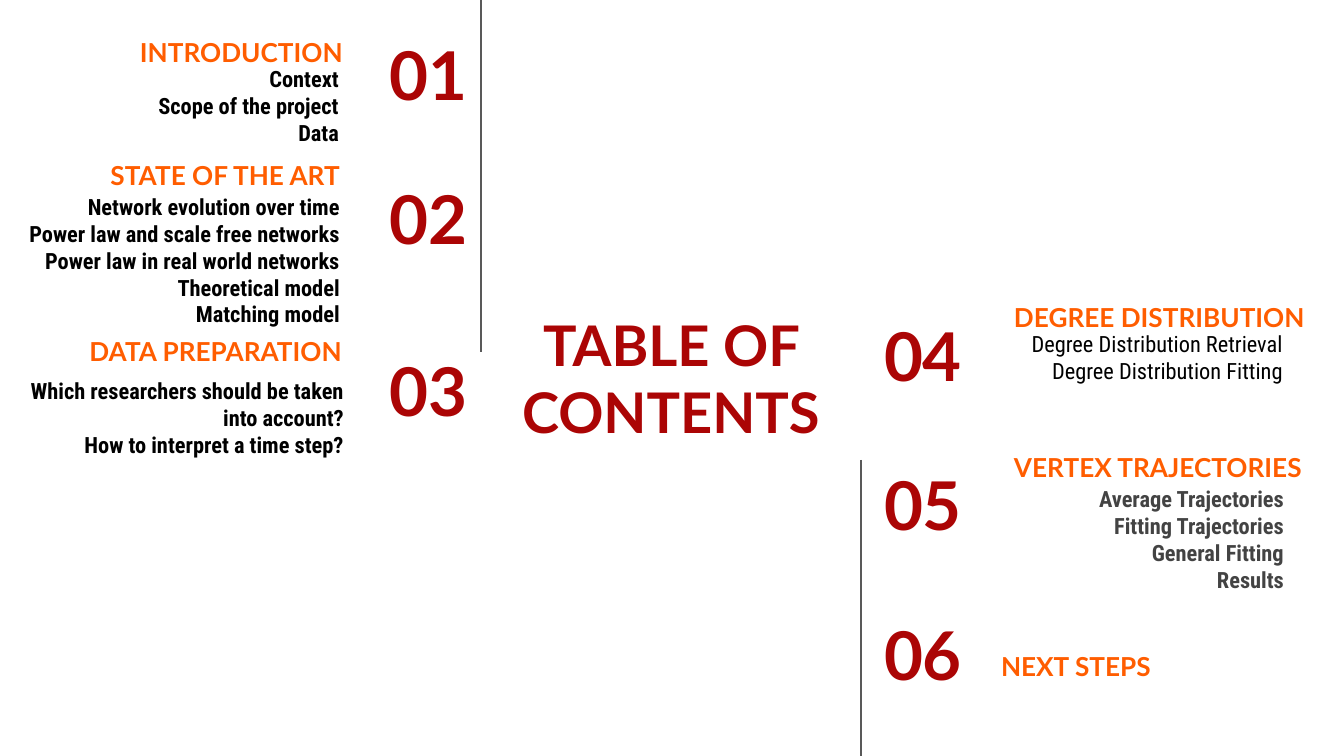
from pptx import Presentation
from pptx.dml.color import RGBColor
from pptx.enum.shapes import MSO_CONNECTOR
from pptx.enum.text import MSO_ANCHOR as ANCHOR, MSO_AUTO_SIZE as FIT, PP_ALIGN as ALIGN
from pptx.oxml.ns import qn
from pptx.util import Emu, Pt

PX = 914400 / 134.4
SLIDE_W, SLIDE_H = 1344, 756
INSET = 13
COMPARISON_LAYOUT = 4

HEAD, BODY = "Lato", "Roboto Condensed"
THEME = {
    "title": {"name": HEAD, "size": 30, "bold": True, "color": "AB0505"},
    "number": {"name": HEAD, "size": 36, "bold": True, "color": "AB0505"},
    "heading": {"name": HEAD, "size": 14, "bold": True, "color": "FF5D00"},
    "list": {"name": BODY, "size": 12, "bold": True, "color": "000000"},
    "plain list": {"name": BODY, "size": 12, "bold": False, "color": "000000"},
    "grey list": {"name": BODY, "size": 12, "bold": True, "color": "434343"},
    "rule": {"width": 0.75, "color": "595959"},
}

TITLE = ("TABLE OF CONTENTS", (497, 309, 348, 138))

# Boxes are left, top, width, height in px.
SECTIONS = [
    {"side": "left", "number_top": 31,
     "heading": "INTRODUCTION", "heading_box": (66, 0, 290, 81),
     "items": ["Context", "Scope of the project", "Data"],
     "style": "list", "list_box": (106, 52, 246, 85), "text_box": True},
    {"side": "left", "number_top": 175,
     "heading": "STATE OF THE ART", "heading_box": (40, 120, 313, 84),
     "items": ["Network evolution over time", "Power law and scale free networks",
               "Power law in real world networks", "Theoretical model",
               "Matching model"],
     "style": "list", "list_box": (-65, 180, 418, 85)},
    {"side": "left", "number_top": 347,
     "heading": "DATA PREPARATION", "heading_box": (3, 297, 352, 83),
     "items": ["Which researchers should be taken into account?",
               "How to interpret a time step?"],
     "style": "list", "list_box": (4, 364, 353, 87)},
    {"side": "right", "number_top": 312,
     "heading": "DEGREE DISTRIBUTION", "heading_box": (1001, 261, 349, 85),
     "items": ["Degree Distribution Retrieval", "Degree Distribution Fitting"],
     "style": "plain list", "list_box": (952, 317, 344, 85)},
    {"side": "right", "number_top": 461,
     "heading": "VERTEX TRAJECTORIES", "heading_box": (1001, 413, 374, 83),
     "items": ["Average Trajectories", "Fitting Trajectories",
               "General Fitting", "Results"],
     "style": "grey list", "list_box": (1001, 472, 296, 85)},
    {"side": "right", "number_top": 611,
     "heading": "NEXT STEPS", "heading_box": (988, 610, 339, 85),
     "items": []},
]

SIDES = {
    "left": {"align": ALIGN.RIGHT, "number_left": 317, "number_width": 163},
    "right": {"align": ALIGN.LEFT, "number_left": 871, "number_width": 157},
}
NUMBER_H = 85

# x, top, bottom
RULES = [(481, 0, 352), (861, 460, SLIDE_H)]


def px(n):
    return Emu(round(n * PX))


def fill_text(sp, lines, box, style, align, anchor):
    """Place a text shape and give it one formatted paragraph per line."""
    for side, n in zip(("left", "top", "width", "height"), box):
        setattr(sp, side, px(n))
    tf = sp.text_frame
    frame = {"word_wrap": True, "auto_size": FIT.NONE, "vertical_anchor": anchor}
    frame |= {f"margin_{side}": px(INSET) for side in ("left", "top", "right", "bottom")}
    for name, value in frame.items():
        setattr(tf, name, value)

    fmt = THEME[style]
    for i, line in enumerate(lines):
        p = tf.add_paragraph() if i else tf.paragraphs[0]
        for name, value in {"alignment": align, "line_spacing": 1.0,
                            "space_before": Pt(0), "space_after": Pt(0)}.items():
            setattr(p, name, value)
        pPr = p._p.get_or_add_pPr()
        pPr.set("marL", "0")
        pPr.set("indent", "0")
        pPr.append(pPr.makeelement(qn("a:buNone"), {}))
        r = p.add_run()
        r.text = line
        for name, value in {"name": fmt["name"], "size": Pt(fmt["size"]),
                            "bold": fmt["bold"]}.items():
            setattr(r.font, name, value)
        r.font.color.rgb = RGBColor.from_string(fmt["color"])


def add_rule(shapes, x, top, bottom):
    line = shapes.add_connector(MSO_CONNECTOR.STRAIGHT, px(x), px(top), px(x), px(bottom))
    line.line.width = Pt(THEME["rule"]["width"])
    line.line.color.rgb = RGBColor.from_string(THEME["rule"]["color"])
    spPr = line._element.spPr
    spPr.append(spPr.makeelement(qn("a:effectLst"), {}))


def main():
    prs = Presentation()
    prs.slide_width, prs.slide_height = px(SLIDE_W), px(SLIDE_H)
    s = prs.slides.add_slide(prs.slide_layouts[COMPARISON_LAYOUT])
    shapes = s.shapes
    bodies = iter([ph for ph in s.placeholders if ph.placeholder_format.idx])

    def new_box():
        return shapes.add_textbox(0, 0, 0, 0)

    text, box = TITLE
    fill_text(shapes.title, [text], box, "title", ALIGN.CENTER, ANCHOR.MIDDLE)

    for number, section in enumerate(SECTIONS, 1):
        side = SIDES[section["side"]]
        number_box = (side["number_left"], section["number_top"],
                      side["number_width"], NUMBER_H)
        fill_text(new_box(), [f"{number:02}"], number_box, "number",
                  side["align"], ANCHOR.MIDDLE)
        fill_text(new_box(), [section["heading"]], section["heading_box"], "heading",
                  side["align"], ANCHOR.BOTTOM)
        if section["items"]:
            sp = new_box() if section.get("text_box") else next(bodies)
            fill_text(sp, section["items"], section["list_box"], section["style"],
                      ALIGN.RIGHT, ANCHOR.TOP)

    for rule in RULES:
        add_rule(shapes, *rule)

    prs.save("out.pptx")


if __name__ == "__main__":
    main()
